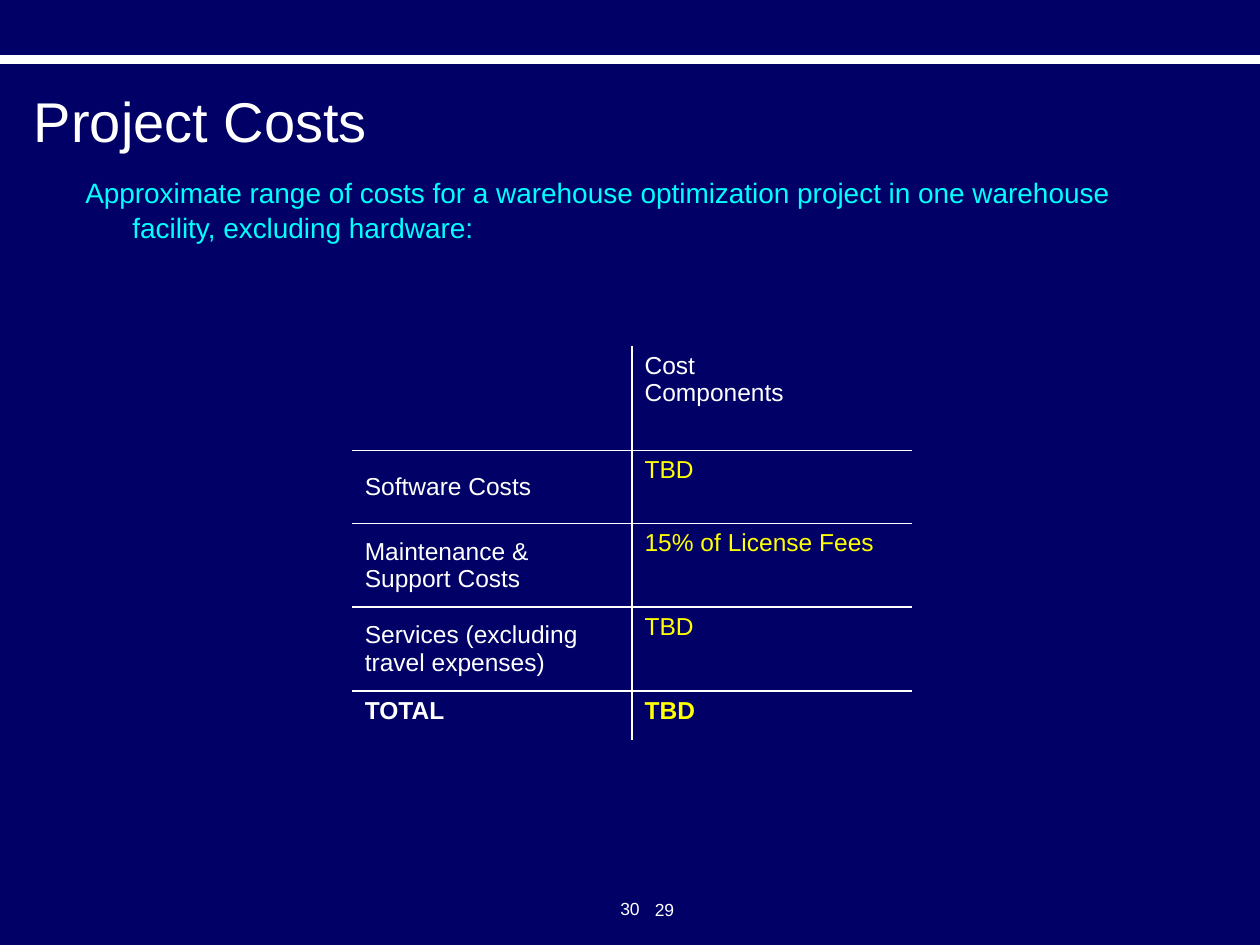
from dataclasses import dataclass

from lxml import etree
from pptx import Presentation, util as u
from pptx.dml.color import RGBColor
from pptx.enum import shapes, text
from pptx.oxml.ns import qn


@dataclass
class Theme:
    font: str = "Arial"
    back: str = "000066"
    white: str = "FFFFFF"
    cyan: str = "00FFFF"
    gold: str = "FFFF00"
    title: int = 32
    body: int = 16
    cell: int = 14
    page: int = 10
    rule: float = 1.08


LEFT, MID = text.PP_ALIGN.LEFT, text.PP_ALIGN.CENTER
TOP, CENTER = text.MSO_ANCHOR.TOP, text.MSO_ANCHOR.MIDDLE


class Deck:
    def __init__(self, theme):
        self.theme = theme
        self.prs = Presentation()
        self.prs.slide_width, self.prs.slide_height = u.Cm(25.4), u.Cm(19.05)
        self.slide = self.prs.slides.add_slide(self.prs.slide_layouts[5])
        fill = self.slide.background.fill
        fill.solid()
        fill.fore_color.rgb = RGBColor.from_string(theme.back)

    def runs(self, para, words, size, color, bold=False):
        """Add one run per line, with line breaks between them."""
        for i, line in enumerate(words.split("\n")):
            if i:
                para.add_line_break()
            run = para.add_run()
            run.text = line
            font = run.font
            font.name, font.size, font.bold = self.theme.font, u.Pt(size), bold
            font.color.rgb = RGBColor.from_string(color)

    def bar(self, *box):
        shape = self.slide.shapes.add_shape(
            shapes.MSO_SHAPE.RECTANGLE, *map(u.Cm, box))
        shape.shadow.inherit = False
        white = RGBColor.from_string(self.theme.white)
        shape.fill.solid()
        shape.fill.fore_color.rgb = white
        shape.line.color.rgb = white
        shape.line.width = u.Pt(0.75)

    def title(self, words, *box):
        shape = self.slide.shapes.title
        shape.left, shape.top, shape.width, shape.height = map(u.Cm, box)
        frame = shape.text_frame
        frame.vertical_anchor = CENTER
        para = frame.paragraphs[0]
        para.alignment = LEFT
        self.runs(para, words, self.theme.title, self.theme.white)

    def label(self, words, box, size, color, align=LEFT, wrap=True):
        shape = self.slide.shapes.add_textbox(*map(u.Cm, box))
        frame = shape.text_frame
        frame.word_wrap = wrap
        para = frame.paragraphs[0]
        para.alignment = align
        self.runs(para, words, size, color)
        return para

    def hang(self, para, depth):
        """Indent all lines but the first."""
        props = para._p.get_or_add_pPr()
        props.set("marL", str(u.Cm(depth)))
        props.set("indent", str(-u.Cm(depth)))

    def edge(self, cell, sides):
        """Rule the named sides of a cell and clear the others."""
        props = cell._tc.get_or_add_tcPr()
        for side in "LRTB":
            line = etree.SubElement(props, qn(f"a:ln{side}"))
            line.set("w", str(u.Pt(self.theme.rule)))
            if side in sides:
                fill = etree.SubElement(line, qn("a:solidFill"))
                color = etree.SubElement(fill, qn("a:srgbClr"))
                color.set("val", self.theme.white)
            else:
                etree.SubElement(line, qn("a:noFill"))

    def table(self, rows, box, widths, heights):
        """Draw a grid with inner rules only; the last row is bold."""
        grid = self.slide.shapes.add_table(
            len(rows), len(widths), *map(u.Cm, box)).table
        grid.first_row = grid.horz_banding = False
        for col, width in zip(grid.columns, widths):
            col.width = u.Cm(width)
        for row, height in zip(grid.rows, heights):
            row.height = u.Cm(height)
        last, end = len(rows) - 1, len(widths) - 1
        for r, row in enumerate(rows):
            for c, words in enumerate(row):
                cell = grid.cell(r, c)
                inner = {"L": c > 0, "R": c < end, "T": r > 0, "B": r < last}
                self.edge(cell, [side for side, on in inner.items() if on])
                cell.fill.background()
                named = c == 0 and 0 < r < last
                cell.vertical_anchor = CENTER if named else TOP
                if words:
                    color = self.theme.gold if r and c else self.theme.white
                    self.runs(cell.text_frame.paragraphs[0], words,
                              self.theme.cell, color, r == last)

    def save(self):
        self.prs.save("out.pptx")


def main():
    theme = Theme()
    deck = Deck(theme)

    # Header
    deck.bar(0, 1.12, 25.4, 0.15)
    deck.title("Project Costs", 0.43, 1.47, 24.77, 1.91)

    # Introduction
    para = deck.label(
        "Approximate range of costs for a warehouse optimization project "
        "in one warehouse facility, excluding hardware:",
        (1.47, 3.38, 22.23, 13.97), theme.body, theme.cyan)
    deck.hang(para, 0.95)
    para.line_spacing = 1.05

    # Cost table
    rows = [
        ("", "Cost\nComponents"),
        ("Software Costs", "TBD"),
        ("Maintenance & Support Costs", "15% of License Fees"),
        ("Services (excluding travel expenses)", "TBD"),
        ("TOTAL", "TBD"),
    ]
    deck.table(rows, (7.1, 6.97, 11.28, 7.98), (5.64, 5.64),
               (2.11, 1.47, 1.69, 1.69, 0.99))

    # Page numbers
    deck.label("29", (12.95, 18, 0.9, 0.69), theme.page, theme.white, wrap=False)
    deck.label("30", (11.53, 17.98, 2.34, 0.84), theme.page, theme.white, MID)

    deck.save()


if __name__ == "__main__":
    main()
